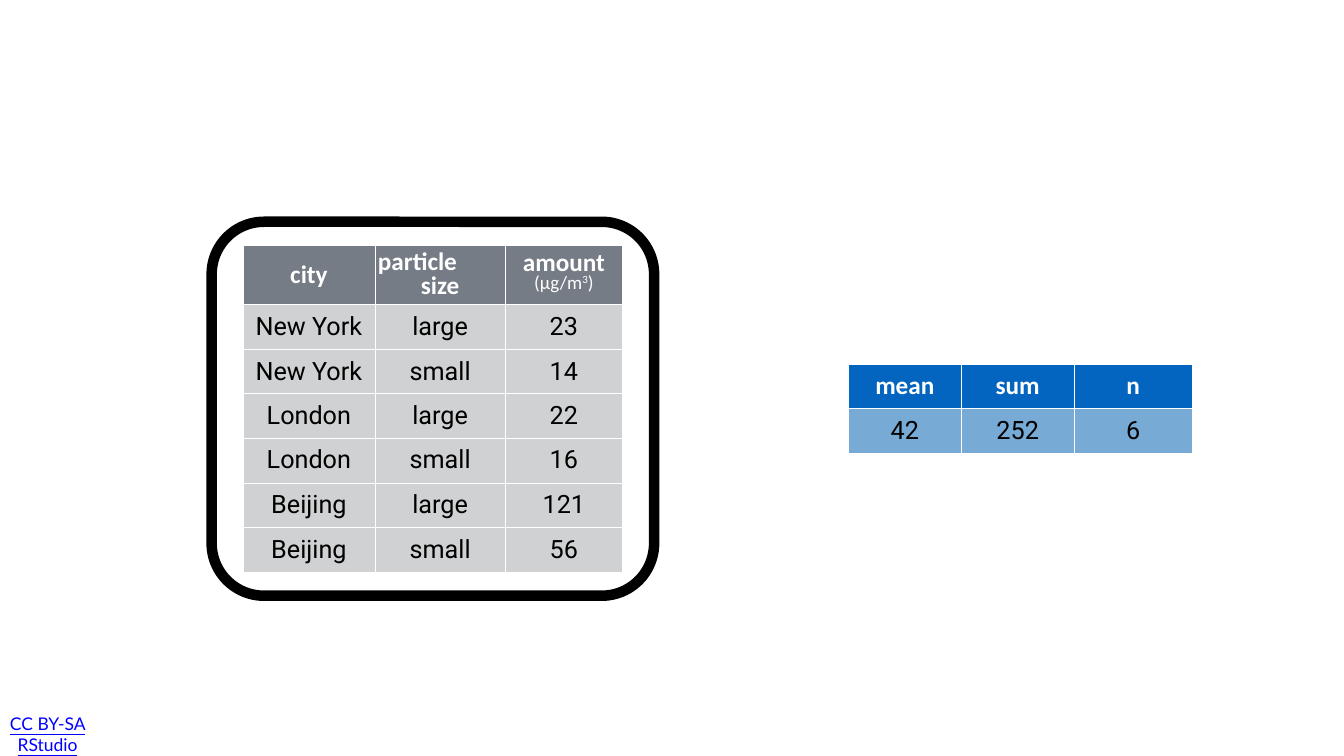
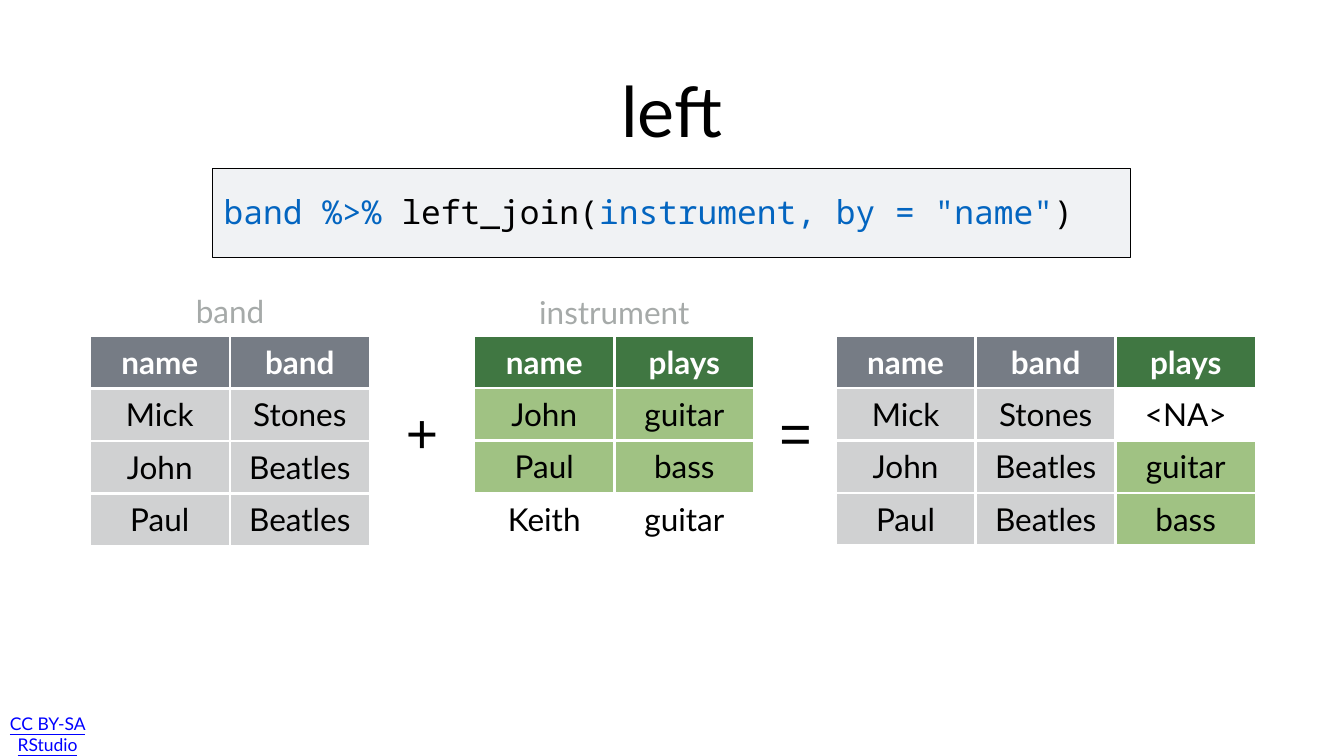
from lxml.etree import SubElement
from pptx import Presentation
from pptx.dml.color import RGBColor
from pptx.enum.shapes import MSO_SHAPE
from pptx.enum.text import MSO_ANCHOR, MSO_AUTO_SIZE, PP_ALIGN
from pptx.oxml.ns import qn
from pptx.util import Emu, Pt

PX = 9144
BLACK, WHITE, LINK, LABEL = "000000", "FFFFFF", "0000FF", "A6AAA9"
SLATE, GRAY = "767C85", "D0D1D2"
GREEN, LIME = "407742", "A0C283"
BLUE, SKY = "0365C0", "78AAD6"
CODE_FILL = "F0F2F4"
HEADERS = (SLATE, GREEN, BLUE)
color = RGBColor.from_string


def write(shape, box, runs, font, size, inset=8, align=PP_ALIGN.CENTER,
          anchor=MSO_ANCHOR.MIDDLE, wrap=True, underline=None):
    for name, value in zip(("left", "top", "width", "height"), box):
        setattr(shape, name, Emu(value * PX))
    frame = shape.text_frame
    frame.word_wrap = wrap
    frame.auto_size = MSO_AUTO_SIZE.NONE if wrap else MSO_AUTO_SIZE.SHAPE_TO_FIT_TEXT
    frame.vertical_anchor = anchor
    for side in ("left", "right", "top", "bottom"):
        setattr(frame, f"margin_{side}", Emu(inset * PX))
    paragraph = frame.paragraphs[0]
    paragraph.alignment = align
    for text, ink in runs:
        run = paragraph.add_run()
        run.text = text
        run.font.color.rgb = color(ink)
        style = {"name": font, "size": Pt(size), "bold": False, "underline": underline}
        for name, value in style.items():
            setattr(run.font, name, value)


def add_grid(slide, left, top, widths, heights, rows, fills, size, fonts, border):
    box = (left, top, sum(widths), sum(heights))
    table = slide.shapes.add_table(len(rows), len(widths), *(Emu(v * PX) for v in box)).table
    table.first_row = table.horz_banding = False
    for column, width in zip(table.columns, widths):
        column.width = Emu(width * PX)
    for r, height in enumerate(heights):
        table.rows[r].height = Emu(height * PX)
        for c, text in enumerate(rows[r]):
            cell, fill = table.cell(r, c), fills[r][c]
            header = fill in HEADERS
            cell.vertical_anchor = MSO_ANCHOR.MIDDLE
            for side in ("left", "right", "top", "bottom"):
                setattr(cell, f"margin_{side}", Emu(6 * PX))
            cell.text_frame.text = text
            for paragraph in cell.text_frame.paragraphs:
                paragraph.alignment = PP_ALIGN.CENTER
                for run in paragraph.runs:
                    run.font.name = fonts[0] if header else fonts[1]
                    run.font.size = Pt(size)
                    run.font.bold = header
                    run.font.color.rgb = color(WHITE if header else BLACK)
            properties = cell._tc.get_or_add_tcPr()
            for edge in ("a:lnL", "a:lnR", "a:lnT", "a:lnB"):
                line = SubElement(properties, qn(edge), w=str(Pt(border)))
                solid = SubElement(line, qn("a:solidFill"))
                SubElement(solid, qn("a:srgbClr"), val=WHITE)
            if fill:
                cell.fill.solid()
                cell.fill.fore_color.rgb = color(fill)
            else:
                cell.fill.background()
    return table


presentation = Presentation()
presentation.slide_width = Emu(2667 * PX)
presentation.slide_height = Emu(1500 * PX)
summary_slide = presentation.slides.add_slide(presentation.slide_layouts[6])
join_slide = presentation.slides.add_slide(presentation.slide_layouts[5])

for slide in presentation.slides:
    footer = slide.shapes.add_textbox(0, 0, 0, 0)
    write(footer, (12, 1426, 266, 60), [("CC BY-SA RStudio", LINK)], "Lato", 25, underline=True)
    footer.text_frame.margin_left = Emu(5 * PX)
    footer.text_frame.margin_right = Emu(106 * PX)

frame_shape = summary_slide.shapes.add_shape(
    MSO_SHAPE.ROUNDED_RECTANGLE, *(Emu(v * PX) for v in (420, 440, 878, 742)))
frame_shape.adjustments[0] = 0.14
frame_shape.shadow.inherit = False
frame_shape.fill.background()
frame_shape.line.color.rgb = color(BLACK)
frame_shape.line.width = Pt(15)

summary_fonts = ("Calibri", "Roboto")
city_widths = [262, 259, 232]
header_row = ["city", "particle\nsize", "amount\n(µg/m"]
city_groups = [
    (487, [117, 89, 89], [header_row, ["New York", "large", "23"], ["New York", "small", "14"]]),
    (780, [89, 89], [["London", "large", "22"], ["London", "small", "16"]]),
    (958, [89, 89], [["Beijing", "large", "121"], ["Beijing", "small", "56"]]),
]
for top, heights, rows in city_groups:
    fills = [[SLATE if row is header_row else GRAY] * 3 for row in rows]
    table = add_grid(summary_slide, 482, top, city_widths, heights, rows, fills,
                     36, summary_fonts, 1)
    if rows[0] is header_row:
        header_table = table

particle, size_line = header_table.cell(0, 1).text_frame.paragraphs
particle.alignment = PP_ALIGN.LEFT
particle.line_spacing = size_line.line_spacing = 0.8
amount, unit = header_table.cell(0, 2).text_frame.paragraphs
amount.line_spacing, unit.line_spacing = 0.6, 0.8
for text in ("3", ")"):
    unit.add_run().text = text
for run in unit.runs:
    for name, value in {"name": "Calibri", "size": Pt(27), "bold": False}.items():
        setattr(run.font, name, value)
    run.font.color.rgb = color(WHITE)
unit.runs[1]._r.get_or_add_rPr().set("baseline", "32000")

add_grid(summary_slide, 1684, 722, [223, 225, 233], [89, 89],
         [["mean", "sum", "n"], ["42", "252", "6"]], [[BLUE] * 3, [SKY] * 3],
         36, summary_fonts, 1)

code_panel = join_slide.shapes.add_shape(
    MSO_SHAPE.RECTANGLE, *(Emu(v * PX) for v in (422, 334, 1822, 177)))
code_panel.shadow.inherit = False
code_panel.fill.solid()
code_panel.fill.fore_color.rgb = color(CODE_FILL)
code_panel.line.color.rgb = color(BLACK)
code_panel.line.width = Pt(1)

code = [("band %>% ", BLUE), ("left_join(", BLACK),
        ('instrument, by = "name"', BLUE), (")", BLACK)]
write(join_slide.shapes.add_textbox(0, 0, 0, 0), (438, 374, 1790, 156), code,
      "Noto Sans Mono", 47, inset=6, align=PP_ALIGN.LEFT, anchor=MSO_ANCHOR.TOP)
write(join_slide.shapes.title, (438, 86, 1790, 262), [("left", BLACK)], "Lato", 100, inset=6)

join_tables = [
    (178, 667, [["name", "band"], ["Mick", "Stones"], ["John", "Beatles"], ["Paul", "Beatles"]],
     [[SLATE] * 2] + [[GRAY] * 2] * 3),
    (941, 666, [["name", "plays"], ["John", "guitar"], ["Paul", "bass"], ["Keith", "guitar"]],
     [[GREEN] * 2] + [[LIME] * 2] * 2 + [[None] * 2]),
    (1658, 666, [["name", "band", "plays"], ["Mick", "Stones", "<NA>"],
                 ["John", "Beatles", "guitar"], ["Paul", "Beatles", "bass"]],
     [[SLATE, SLATE, GREEN], [GRAY, GRAY, None]] + [[GRAY, GRAY, LIME]] * 2),
]
for left, top, rows, fills in join_tables:
    add_grid(join_slide, left, top, [278] * len(rows[0]), [104] * 4, rows, fills,
             45, ("Lato", "Lato"), 4)

for text, box in (("band", (322, 566, 269, 100)), ("instrument", (1049, 568, 340, 100))):
    write(join_slide.shapes.add_textbox(0, 0, 0, 0), box, [(text, LABEL)], "Lato", 45)
for text, left in (("+", 796), ("=", 1537)):
    write(join_slide.shapes.add_textbox(0, 0, 0, 0), (left, 783, 83, 146), [(text, BLACK)],
          "Arial", 79, wrap=False)

presentation.save("out.pptx")
